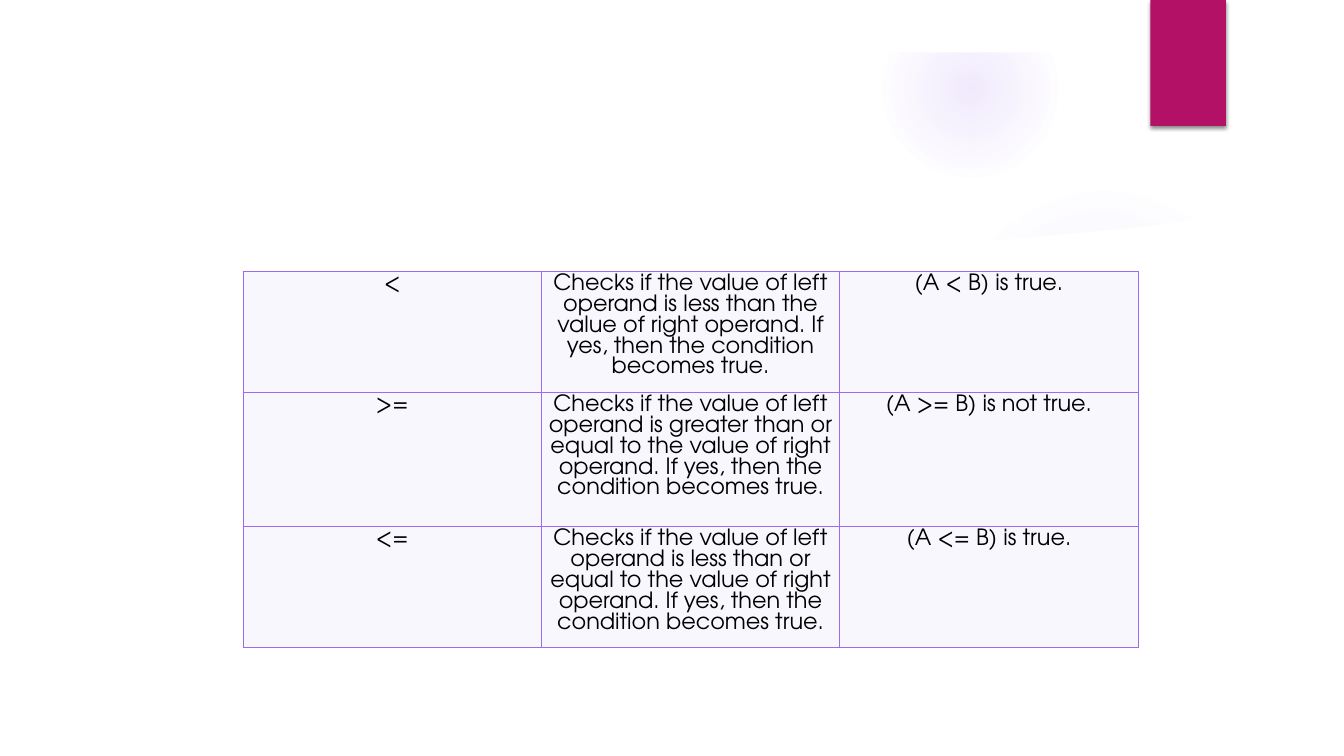
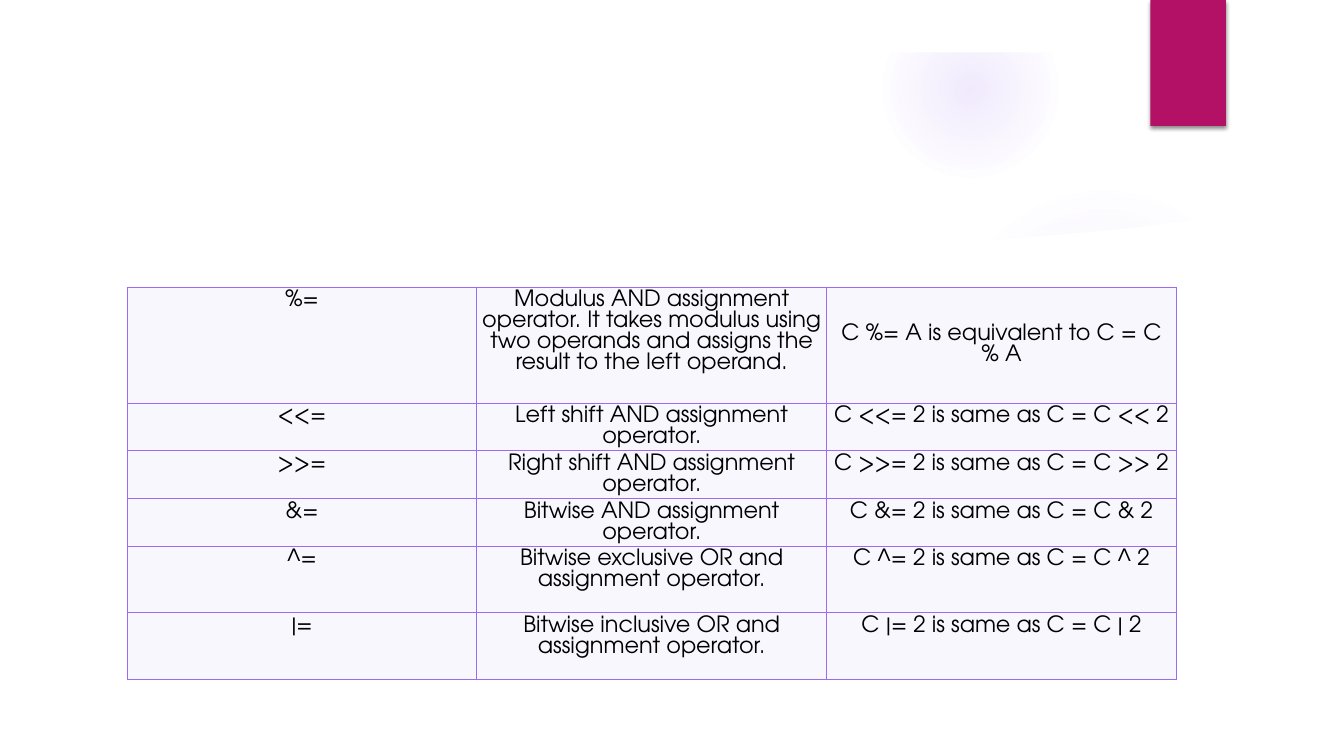
"""Build two slides of operator tables on a shared layout."""
from pptx import Presentation
from pptx.dml.color import RGBColor
from pptx.enum import shapes, text
from pptx.oxml import parse_xml
from pptx.oxml.ns import nsdecls
from pptx.util import Inches, Pt

VIOLET = RGBColor(0x9B, 0x6B, 0xF2)
PINK = RGBColor(0xB3, 0x11, 0x66)
WHITE = RGBColor(0xFF, 0xFF, 0xFF)
BLACK = RGBColor(0, 0, 0)
PALE = RGBColor(0xF8, 0xF7, 0xFD)
FONT = "TeX Gyre Adventor"
NS = nsdecls("a")
TOP, MID = text.MSO_ANCHOR.TOP, text.MSO_ANCHOR.MIDDLE


def write(cell, words, size=16, color=BLACK, anchor=TOP):
    cell.vertical_anchor = anchor
    cell.margin_left = cell.margin_right = Inches(0.03)
    cell.margin_top = cell.margin_bottom = Inches(0.03)
    para = cell.text_frame.paragraphs[0]
    para.alignment = text.PP_ALIGN.CENTER
    run = para.add_run()
    run.text = words
    run.font.name = FONT
    run.font.size = Pt(size)
    run.font.color.rgb = color


def paint(shape, color):
    shape.shadow.inherit = False
    shape.line.fill.background()
    shape.fill.solid()
    shape.fill.fore_color.rgb = color


prs = Presentation()
prs.slide_width = Inches(13.33)
prs.slide_height = Inches(7.5)
layout = prs.slide_layouts[6]
pages = [prs.slides.add_slide(layout) for _ in range(2)]
draw = pages[0].shapes
kinds = shapes.MSO_SHAPE
decor = []

GLOWS = [
    (9.41, 1.83, 3.08, [(0, 7), (36, 6), (69, 0)]),
    (8.75, 0.01, 1.75, [(0, 14), (36, 7), (73, 0)]),
]
for left, top, size, stops in GLOWS:
    glow = draw.add_shape(kinds.OVAL, Inches(left), Inches(top), Inches(size), Inches(size))
    paint(glow, VIOLET)
    marks = "".join(
        f'<a:gs pos="{pos * 1000}"><a:srgbClr val="{VIOLET}">'
        f'<a:alpha val="{alpha * 1000}"/></a:srgbClr></a:gs>'
        for pos, alpha in stops
    )
    solid = glow.element.spPr.find("{*}solidFill")
    solid.getparent().replace(solid, parse_xml(
        f'<a:gradFill {NS}><a:gsLst>{marks}</a:gsLst><a:path path="circle">'
        '<a:fillToRect l="50000" t="50000" r="50000" b="50000"/></a:path></a:gradFill>'
    ))
    decor.append(glow)

BAND = [
    (9.34, 2.5), (10.2, 2.47), (11.5, 2.33), (12.89, 2.14), (12.83, 1.66),
    (12.36, 1.81), (11.9, 1.94), (11.44, 2.06), (10.98, 2.16),
    (10.53, 2.25), (10.1, 2.32), (9.69, 2.38), (9.3, 2.43),
]
SHEET = [
    (0.5, 2.04), (0.5, 7), (12.84, 7), (12.84, 2.04), (12.28, 2.13),
    (11.72, 2.2), (11.16, 2.27), (10.6, 2.32), (10.04, 2.37), (9.49, 2.41),
    (8.67, 2.45), (7.6, 2.47), (6.57, 2.48), (5.35, 2.45), (4.01, 2.38),
    (2.83, 2.3), (1.59, 2.18), (0.94, 2.1),
]
for points, alpha in ((BAND, 20), (SHEET, 100)):
    spots = [(Inches(x), Inches(y)) for x, y in points]
    pen = draw.build_freeform(*spots[0])
    pen.add_line_segments(spots[1:], close=True)
    sheet = pen.convert_to_shape()
    paint(sheet, WHITE)
    if alpha < 100:
        tint = sheet.element.spPr.find("{*}solidFill")[0]
        tint.append(parse_xml(f'<a:alpha {NS} val="{alpha * 1000}"/>'))
    decor.append(sheet)

frame = draw.add_shape(kinds.FRAME, 0, 0, prs.slide_width, prs.slide_height)
frame.adjustments[0] = 0.52 / 7.5
paint(frame, WHITE)

tab = draw.add_shape(kinds.RECTANGLE, Inches(11.41), 0, Inches(0.75), Inches(1.25))
paint(tab, PINK)
tab.element.spPr.find("{*}effectLst").append(parse_xml(
    f'<a:outerShdw {NS} blurRad="{Pt(3)}" dist="{Pt(2)}" dir="5400000" rotWithShape="0">'
    f'<a:srgbClr val="{BLACK}"><a:alpha val="45000"/></a:srgbClr></a:outerShdw>'
))
for shape in decor + [frame, tab]:
    layout.shapes.element.append(shape.element)

CHECK = "Checks if the value of left operand is {} the value of right operand. If yes, then the condition becomes true."
COMPARE = [
    ("<", CHECK.format("less than"), "(A < B) is true."),
    (">=", CHECK.format("greater than or equal to"), "(A >= B) is not true."),
    ("<=", CHECK.format("less than or equal to"), "(A <= B) is true."),
]
ASSIGN = [(
    "%=",
    "Modulus AND assignment operator. It takes modulus using two operands and assigns the result to the left operand.",
    "C %= A is equivalent to C = C % A",
)]
for sign, name in (
    ("<<", "Left shift AND"), (">>", "Right shift AND"), ("&", "Bitwise AND"),
    ("^", "Bitwise exclusive OR and"), ("|", "Bitwise inclusive OR and"),
):
    ASSIGN.append((f"{sign}=", f"{name} assignment operator.", f"C {sign}= 2 is same as C = C {sign} 2"))

TABLES = [
    (COMPARE, 2.41, 2.69, 2.96, [1.2, 1.33, 1.2]),
    (ASSIGN, 1.26, 2.85, 3.47, [1.15, 0.42, 0.42, 0.42, 0.66, 0.66]),
]
for page, (rows, left, top, width, heights) in zip(pages, TABLES):
    grid = page.shapes.add_table(
        len(rows), 3, Inches(left), Inches(top), Inches(3 * width), Inches(sum(heights))
    ).table
    grid.first_row = grid.horz_banding = False
    for col in grid.columns:
        col.width = Inches(width)
    for r, (row, height) in enumerate(zip(rows, heights)):
        grid.rows[r].height = Inches(height)
        for c, words in enumerate(row):
            cell = grid.cell(r, c)
            write(cell, words, anchor=MID if words.startswith("C %=") else TOP)
            for side in "LRTB":
                cell._tc.tcPr.append(parse_xml(
                    f'<a:ln{side} {NS} w="{Pt(0.75)}"><a:solidFill>'
                    f'<a:srgbClr val="{VIOLET}"/></a:solidFill></a:ln{side}>'
                ))
            cell.fill.solid()
            cell.fill.fore_color.rgb = PALE

prs.save("out.pptx")
